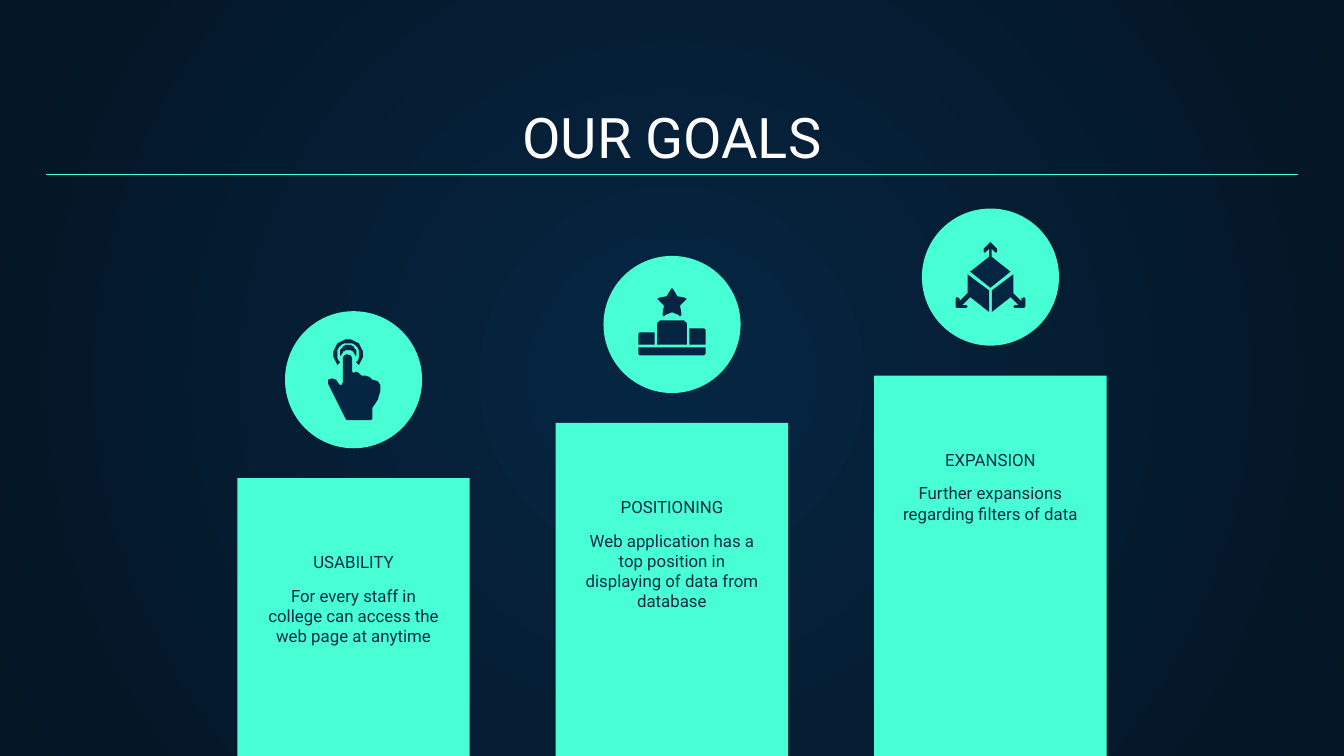
import math
import pptx
import pptx.util
import pptx.dml.color
import pptx.enum.shapes
import pptx.enum.text
import pptx.oxml
import pptx.oxml.ns

Pt = pptx.util.Pt
Kind = pptx.enum.shapes.MSO_SHAPE
Anchor = pptx.enum.text.MSO_ANCHOR

MINT, NAVY, INK, DARK, WHITE = "48FFD5", "052643", "0E2A47", "041523", "FFFFFF"
WIDE, HIGH = 720, 405
DISC = 73.44        # diameter of an icon disc
UNIT = 0.72         # icon grid step; a disc is 102 steps wide


def color(code):
    return pptx.dml.color.RGBColor.from_string(code)


def paint(shape, code):
    shape.shadow.inherit = False
    shape.fill.solid()
    shape.fill.fore_color.rgb = color(code)
    shape.line.fill.background()


def write(shape, text, size, code, anchor):
    frame = shape.text_frame
    frame.text = text
    frame.word_wrap = True
    frame.auto_size = pptx.enum.text.MSO_AUTO_SIZE.NONE
    frame.vertical_anchor = anchor
    frame.margin_left = frame.margin_right = Pt(7.2)
    frame.margin_top = frame.margin_bottom = Pt(7.2)
    para = frame.paragraphs[0]
    para.alignment = pptx.enum.text.PP_ALIGN.CENTER
    font = para.runs[0].font
    font.name, font.size, font.bold = "Roboto", Pt(size), False
    font.color.rgb = color(code)


def label(slide, text, x, y, w, h, anchor):
    box = slide.shapes.add_textbox(Pt(x), Pt(y), Pt(w), Pt(h))
    write(box, text, 9, INK, anchor)


# Icon outlines, on a grid whose origin is the disc's top left
def flip(points):
    return [(102 - x, y) for x, y in points]


def whole(half):
    return half + flip(half)[::-1]


def arc(x, y, r, start, end):
    steps = 24
    turns = [math.radians(start + (end - start) * i / steps)
             for i in range(steps + 1)]
    return [(x + r * math.cos(t), y + r * math.sin(t)) for t in turns]


def tap():
    ring = arc(47, 32, 11.3, 135, 405) + arc(47, 32, 8.3, 405, 135)
    inner = arc(47, 31, 6, 160, 380) + arc(47, 34.5, 5.5, 340, 200)
    hand = [(46.5, 32), (44, 33), (43, 35), (43, 53), (42, 55), (41, 55),
            (40, 54), (38, 51), (35, 50), (32, 51), (31.5, 54), (45, 80),
            (46, 81), (64, 81), (65, 80), (65, 72), (69, 66), (71, 59),
            (71, 55), (69, 52), (65, 51), (63, 49), (60, 48), (57, 48),
            (55, 46), (53, 45), (51, 46), (50, 45), (50, 35), (49, 33)]
    return [ring, inner, hand]


def podium():
    star = whole([(51, 24), (50, 25), (47, 30), (42, 31), (40.5, 32),
                  (41, 33), (45, 37), (44, 43), (44, 44), (45, 45),
                  (46, 44), (51, 42)])
    left = [(27, 57), (26, 58), (26, 65.5), (38, 65.5), (38, 57)]
    mid = whole([(42, 48), (40.5, 49.5), (40.5, 65.5)])
    right = [(64, 54), (64, 65.5), (76, 65.5), (76, 55), (75, 54)]
    base = whole([(26, 68), (26, 73), (27, 74)])
    return [star, left, mid, right, base]


def cube():
    side = [(68, 49), (52, 61), (52, 77), (66, 66), (71.5, 71.5), (69, 71.5),
            (68, 73), (69, 74.5), (75.5, 74.5), (77, 73), (77, 67), (75.5, 65.5),
            (74, 67), (74, 69), (68, 63)]
    top = whole([(51, 25), (50, 25.5), (46, 30), (46, 32), (47, 33), (48, 32),
                 (49.5, 30.5), (49.5, 36), (36, 47), (51, 59)])
    return [side, flip(side), top]


def backdrop(slide):
    fill = slide.background.fill
    fill.gradient()
    for stop, code in zip(fill.gradient_stops, (NAVY, DARK)):
        stop.color.rgb = color(code)
    # Turn the linear gradient into a round one
    qn = pptx.oxml.ns.qn
    line = next(slide.element.iter(qn("a:lin")))
    line.getparent().replace(line, pptx.oxml.parse_xml(
        f'<a:path {pptx.oxml.ns.nsdecls("a")} path="circle">'
        '<a:fillToRect l="50000" t="50000" r="50000" b="50000"/></a:path>'))


def header(slide, x, y, w, h):
    title = slide.shapes.title
    title.left, title.top, title.width, title.height = map(Pt, (x, y, w, h))
    write(title, "OUR GOALS", 30, WHITE, Anchor.BOTTOM)
    # Rule under the title
    level = Pt(y + 43.2)
    rule = slide.shapes.add_connector(
        pptx.enum.shapes.MSO_CONNECTOR.STRAIGHT, Pt(x), level, Pt(x + w), level)
    rule.line.color.rgb = color(MINT)
    rule.line.width = Pt(0.75)
    rule._element.spPr.append(
        pptx.oxml.parse_xml(f'<a:effectLst {pptx.oxml.ns.nsdecls("a")}/>'))


def badge(slide, x, y, icon):
    disc = slide.shapes.add_shape(Kind.OVAL, Pt(x), Pt(y), Pt(DISC), Pt(DISC))
    paint(disc, MINT)
    for points in icon:
        pen = slide.shapes.build_freeform(*points[0], scale=Pt(UNIT))
        pen.add_line_segments(points[1:], close=True)
        paint(pen.convert_to_shape(Pt(x), Pt(y)), NAVY)


def column(slide, x, y, w, h, name, text, icon):
    bar = slide.shapes.add_shape(Kind.RECTANGLE, Pt(x), Pt(y), Pt(w), Pt(h))
    paint(bar, MINT)
    label(slide, name, x - 19.5, y + 42.5, w + 39, 15, Anchor.BOTTOM)
    label(slide, text, x + 7.4, y + 50.4, w - 15, 40, Anchor.TOP)
    badge(slide, x + (w - DISC) / 2, y - 89.5, icon)


def main():
    deck = pptx.Presentation()
    deck.slide_width, deck.slide_height = Pt(WIDE), Pt(HIGH)
    slide = deck.slides.add_slide(deck.slide_layouts[5])
    backdrop(slide)
    header(slide, 24.5, 50.4, 671, 47.5)

    # Rising columns, one per goal
    goals = [
        (256.2, "USABILITY", "For every staff in college can access the web "
         "page at anytime", tap()),
        (226.6, "POSITIONING", "Web application has a top position in "
         "displaying of data from database", podium()),
        (201.2, "EXPANSION", "Further expansions regarding filters of data",
         cube()),
    ]
    wide, pitch = 124.5, 170.6
    left = (WIDE - wide) / 2 - pitch
    for i, (top, name, text, icon) in enumerate(goals):
        column(slide, left + i * pitch, top, wide, HIGH - top, name, text, icon)
    deck.save("out.pptx")


if __name__ == "__main__":
    main()
